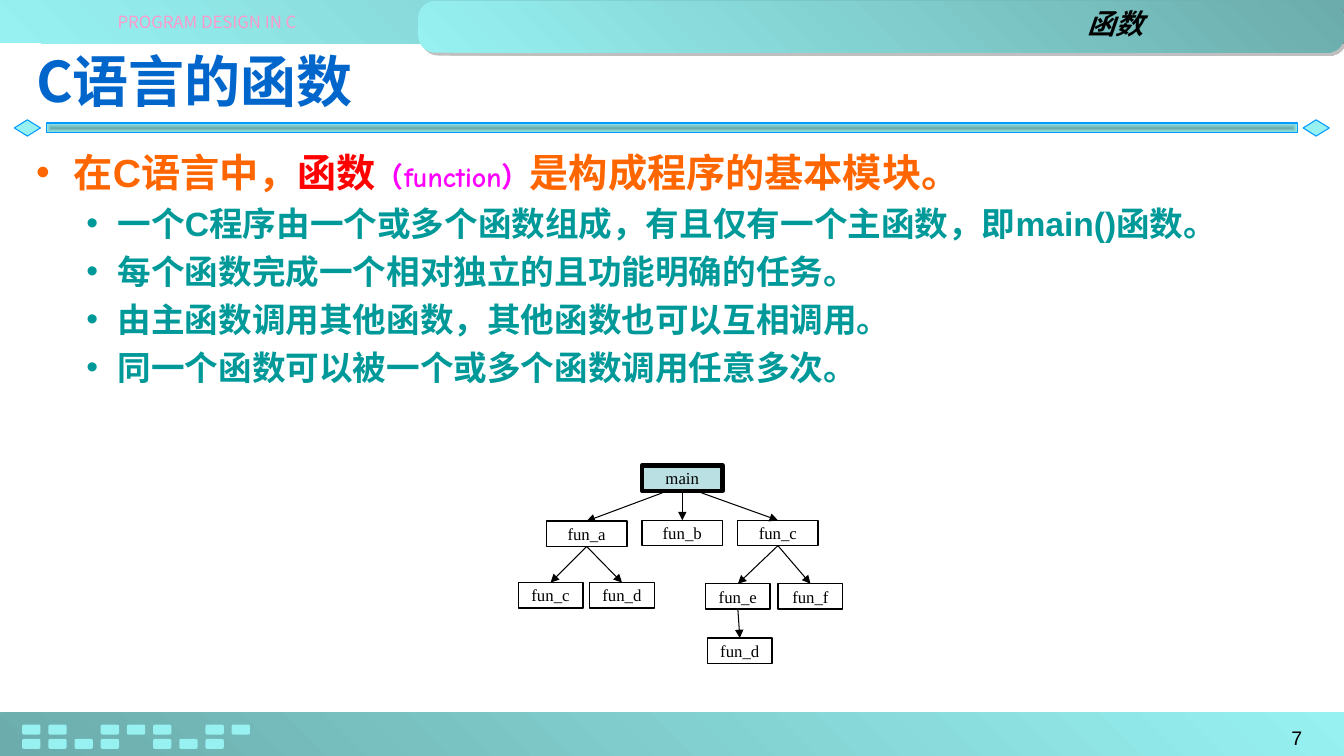
from lxml import etree
from pptx import Presentation
from pptx.dml.color import RGBColor
from pptx.enum.shapes import MSO_CONNECTOR, MSO_SHAPE
from pptx.enum.text import MSO_ANCHOR, MSO_AUTO_SIZE, PP_ALIGN
from pptx.oxml import parse_xml
from pptx.oxml.ns import nsdecls, qn
from pptx.util import Cm, Pt

RECT, ROUND, DIAMOND = MSO_SHAPE.RECTANGLE, MSO_SHAPE.ROUNDED_RECTANGLE, MSO_SHAPE.DIAMOND
STRAIGHT = MSO_CONNECTOR.STRAIGHT
LEFT, CENTER, RIGHT = PP_ALIGN.LEFT, PP_ALIGN.CENTER, PP_ALIGN.RIGHT
TOP, MIDDLE = MSO_ANCHOR.TOP, MSO_ANCHOR.MIDDLE
FIT_SHAPE = MSO_AUTO_SIZE.SHAPE_TO_FIT_TEXT
TOP_SIDE, BOTTOM_SIDE = 0, 2

COLORS = {
    "aqua": "97F1F1", "edge": "0099FF", "shadow": "808080", "pink": "FF99CC",
    "title": "0066CC", "orange": "FF6600", "red": "FF0000", "magenta": "FF00FF",
    "teal": "009999", "black": "000000", "white": "FFFFFF", "main": "BBE0E3",
}
DIAGONAL = '<a:lin ang="18900000" scaled="1"/>'
FROM_CENTER = ('<a:path path="shape"><a:fillToRect l="50000" t="50000" '
               'r="50000" b="50000"/></a:path>')

# Each run: text, size, colour, font
TOPIC = [
    ("在C语言中，", 28, "orange", "Arial"),
    ("函数", 28, "red", "Arial"),
    ("（function）", 20, "magenta", "Comic Neue"),
    ("是构成程序的基本模块。", 28, "orange", "Arial"),
]
POINTS = [
    "一个C程序由一个或多个函数组成，有且仅有一个主函数，即main()函数。",
    "每个函数完成一个相对独立的且功能明确的任务。",
    "由主函数调用其他函数，其他函数也可以互相调用。",
    "同一个函数可以被一个或多个函数调用任意多次。",
]

# Call tree: key -> (label, left, top, width)
CALL_NODES = {
    "main": ("main", 16.18, 11.73, 2.03),
    "a": ("fun_a", 13.77, 13.13, 2.03),
    "b": ("fun_b", 16.18, 13.11, 2.03),
    "c": ("fun_c", 18.59, 13.11, 2.03),
    "a_c": ("fun_c", 13.06, 14.68, 1.63),
    "a_d": ("fun_d", 14.86, 14.68, 1.63),
    "c_e": ("fun_e", 17.78, 14.71, 1.63),
    "c_f": ("fun_f", 19.61, 14.71, 1.63),
    "e_d": ("fun_d", 17.83, 16.08, 1.63),
}
CALLS = [("main", "b"), ("a", "a_c"), ("a", "a_d"),
         ("c", "c_e"), ("c", "c_f"), ("c_e", "e_d")]
SIDE_CALLS = {"a": 16.69, "c": 17.68}  # start of the slanted arrows under main


class SlideBuilder:
    def __init__(self, slide):
        self.slide = slide

    def color(self, name):
        return RGBColor.from_string(COLORS[name])

    def shape(self, kind, left, top, width, height, fill=None, line=None, weight=0.75):
        item = self.slide.shapes.add_shape(kind, Cm(left), Cm(top), Cm(width), Cm(height))
        item.shadow.inherit = False
        if fill:
            item.fill.solid()
            item.fill.fore_color.rgb = self.color(fill)
        if line:
            item.line.color.rgb = self.color(line)
            item.line.width = Pt(weight)
        else:
            item.line.fill.background()
        return item

    def gradient(self, item, dark_at, direction):
        """Fill with aqua that turns dark at stop 0 or 100."""
        stops = ""
        for position in (0, 100):
            shade = '<a:shade val="46275"/>' if position == dark_at else ""
            stops += (f'<a:gs pos="{position * 1000}"><a:srgbClr val="{COLORS["aqua"]}">'
                      f'{shade}</a:srgbClr></a:gs>')
        properties = item.element.spPr
        properties.find(qn("a:prstGeom")).addnext(parse_xml(
            f'<a:gradFill {nsdecls("a")} rotWithShape="1"><a:gsLst>{stops}</a:gsLst>'
            f'{direction}</a:gradFill>'))

    def drop_shadow(self, item):
        effects = item.element.spPr.find(qn("a:effectLst"))
        effects.append(parse_xml(
            f'<a:outerShdw {nsdecls("a")} dist="35921" dir="2700000" algn="ctr">'
            f'<a:srgbClr val="{COLORS["shadow"]}"><a:alpha val="50000"/></a:srgbClr>'
            '</a:outerShdw>'))

    def run(self, paragraph, text, size, color, font, bold=False, italic=False):
        run = paragraph.add_run()
        run.text = text
        run.font.size, run.font.name = Pt(size), font
        run.font.bold, run.font.italic = bold, italic
        run.font.color.rgb = self.color(color)
        east_asian = etree.SubElement(run.font._element, qn("a:ea"))
        east_asian.set("typeface", font)

    def text_box(self, left, top, width, height, wrap=True, anchor=TOP):
        box = self.slide.shapes.add_textbox(Cm(left), Cm(top), Cm(width), Cm(height))
        box.text_frame.word_wrap = wrap
        box.text_frame.vertical_anchor = anchor
        return box.text_frame

    def label(self, place, text, size, color, font, align=LEFT, wrap=True,
              anchor=TOP, bold=False, italic=False):
        frame = self.text_box(*place, wrap, anchor)
        paragraph = frame.paragraphs[0]
        paragraph.alignment = align
        self.run(paragraph, text, size, color, font, bold, italic)
        return frame

    def bullet(self, paragraph, indent, hanging):
        properties = paragraph._p.get_or_add_pPr()
        properties.set("marL", str(Cm(indent)))
        properties.set("indent", str(-Cm(hanging)))
        etree.SubElement(properties, qn("a:buFont")).set("typeface", "Arial")
        etree.SubElement(properties, qn("a:buChar")).set("char", "•")

    def node(self, text, left, top, width, fill="white", weight=1):
        box = self.shape(RECT, left, top, width, 0.64, fill, "black", weight)
        frame = box.text_frame
        frame.word_wrap = False
        frame.vertical_anchor = MIDDLE
        frame.margin_left = frame.margin_right = frame.margin_top = frame.margin_bottom = 0
        frame.paragraphs[0].alignment = CENTER
        self.run(frame.paragraphs[0], text, 12, "black", "Times New Roman")
        return box

    def arrow(self, callee, caller=None, start=(0, 0)):
        """Point at the callee's top, from the caller's bottom or a free start."""
        line = self.slide.shapes.add_connector(
            STRAIGHT, Cm(start[0]), Cm(start[1]), callee.left, callee.top)
        if caller:
            line.begin_connect(caller, BOTTOM_SIDE)
        line.end_connect(callee, TOP_SIDE)
        line.line.color.rgb = self.color("black")
        line.line.width = Pt(0.75)
        etree.SubElement(line.line._get_or_add_ln(), qn("a:tailEnd")).set("type", "triangle")
        etree.SubElement(line._element.spPr, qn("a:effectLst"))


def draw_frame(builder):
    """Bands, header tab, title rule and footer blocks."""
    builder.gradient(builder.shape(RECT, 0, 17.96, 33.87, 1.09), 0, DIAGONAL)
    builder.gradient(builder.shape(RECT, 0, 0, 33.87, 1.09), 100, DIAGONAL)
    tab = builder.shape(ROUND, 10.54, 0.03, 23.33, 1.3)
    tab.adjustments[0] = 0.33
    builder.gradient(tab, 100, DIAGONAL)
    builder.drop_shadow(tab)
    for left in (0.36, 32.84):
        builder.shape(DIAMOND, left, 3.02, 0.66, 0.41, "aqua", "edge")
    rule = builder.shape(RECT, 1.17, 3.1, 31.52, 0.25, line="edge")
    builder.gradient(rule, 0, FROM_CENTER)
    for top, columns in ((18.26, (0, 1, 3, 4, 5, 7, 8)), (18.62, (0, 1, 2, 3, 5, 6, 7))):
        for column in columns:
            builder.shape(ROUND, 0.56 + 0.66 * column, top, 0.46, 0.25, "aqua")


def draw_text(builder):
    builder.label((0.76, 0.18, 8.92, 0.56), "PROGRAM DESIGN IN C", 12, "pink",
                  "Noto Sans CJK SC", CENTER, wrap=False)
    builder.label((28.4, 18.16, 4.67, 0.71), "7", 14, "black", "Arial", RIGHT)
    builder.label((0.66, 0.91, 32.54, 2.21), "C语言的函数", 40, "title",
                  "Noto Sans CJK JP", anchor=MIDDLE, bold=True)
    chapter = builder.label((12.8, 0.05, 16.28, 1.09), "函数", 20, "black", "Arial",
                            RIGHT, bold=True, italic=True)
    chapter.auto_size = FIT_SHAPE

    body = builder.text_box(0.66, 3.61, 32.54, 14.02)
    topic = body.paragraphs[0]
    builder.bullet(topic, 0.95, 0.95)
    for part in TOPIC:
        builder.run(topic, *part, bold=True)
    for point in POINTS:
        paragraph = body.add_paragraph()
        paragraph.level = 1
        builder.bullet(paragraph, 2.06, 0.79)
        paragraph.space_before = Pt(5.5)
        builder.run(paragraph, point, 24, "teal", "Arial", bold=True)


def draw_call_tree(builder):
    nodes = {}
    for key, place in CALL_NODES.items():
        style = ("main", 3) if key == "main" else ("white", 1)
        nodes[key] = builder.node(*place, *style)
    for caller, callee in CALLS:
        builder.arrow(nodes[callee], nodes[caller])
    for callee, left in SIDE_CALLS.items():
        builder.arrow(nodes[callee], start=(left, 12.42))


def main():
    deck = Presentation()
    deck.slide_width, deck.slide_height = Cm(33.87), Cm(19.05)
    builder = SlideBuilder(deck.slides.add_slide(deck.slide_layouts[6]))
    draw_frame(builder)
    draw_text(builder)
    draw_call_tree(builder)
    deck.save("out.pptx")


if __name__ == "__main__":
    main()
